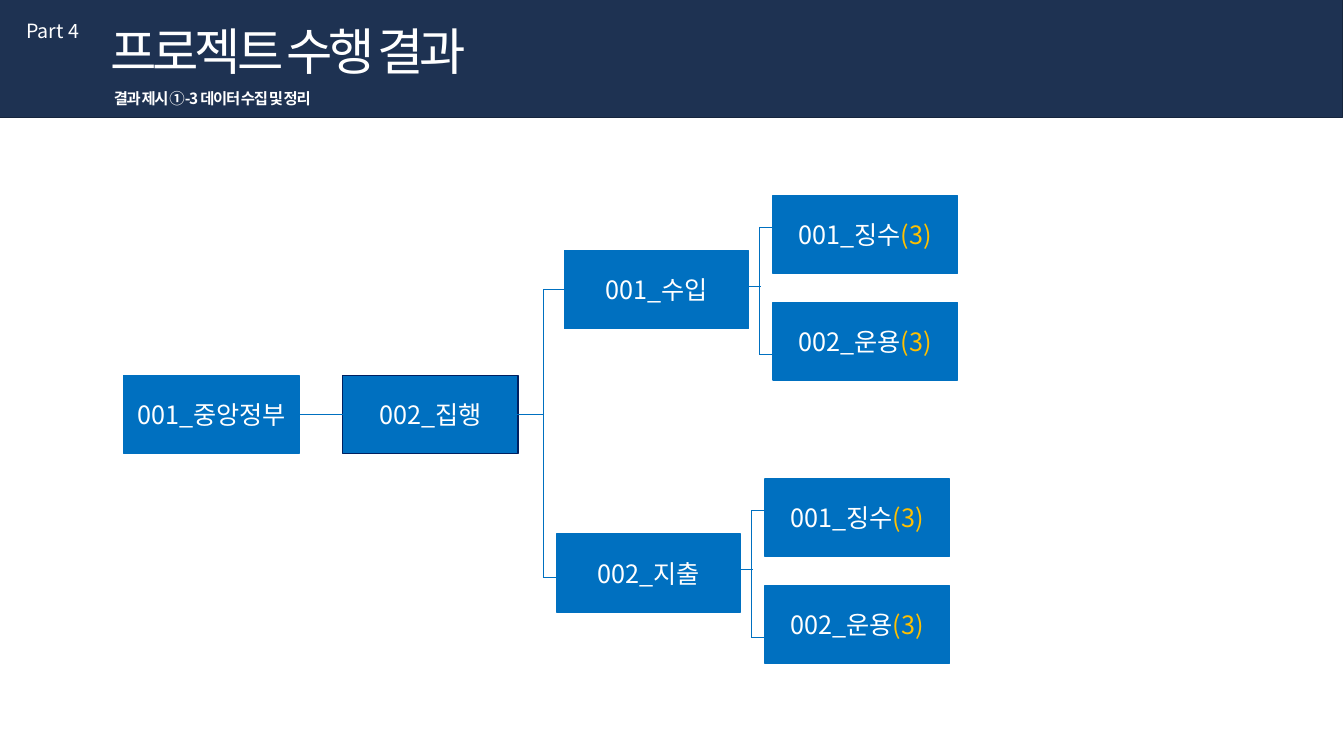
"""Builds the project result slide with a tree of data folders."""
from pptx import Presentation
from pptx import util as u
from pptx.dml.color import RGBColor
from pptx.enum import shapes, text
from pptx.oxml.ns import qn
from lxml import etree

HUES = {"navy": "1E3252", "edge": "16253D", "blue": "0070C0",
        "dark": "002060", "gold": "FFC000", "white": "FFFFFF"}
FONT = "Noto Sans CJK KR"
TALL = 1.96


def hue(name):
    return RGBColor.from_string(HUES[name])


def write(para, words, size=18, color="white", bold=False, space=0):
    run = para.add_run()
    run.text = words
    font = run.font
    font.name, font.size, font.bold = FONT, u.Pt(size), bold
    font.color.rgb = hue(color)
    props = run._r.get_or_add_rPr()
    etree.SubElement(props, qn("a:ea")).set("typeface", FONT)
    if space:
        props.set("spc", str(space * 100))


class Deck:
    def __init__(self):
        self.prs = Presentation()
        self.prs.slide_width, self.prs.slide_height = u.Cm(33.87), u.Cm(19.05)
        self.slide = self.prs.slides.add_slide(self.prs.slide_layouts[6])
        self.shapes = self.slide.shapes

    def rect(self, x, y, w, h, fill="blue", edge="blue"):
        box = self.shapes.add_shape(shapes.MSO_SHAPE.RECTANGLE,
                                    u.Cm(x), u.Cm(y), u.Cm(w), u.Cm(h))
        box.shadow.inherit = False
        box.fill.solid()
        box.fill.fore_color.rgb = hue(fill)
        box.line.color.rgb = hue(edge)
        box.line.width = u.Pt(1)
        return box

    def node(self, x, y, w, words, count="", edge="blue"):
        box = self.rect(x, y, w, TALL, edge=edge)
        frame = box.text_frame
        frame.word_wrap = True
        frame.vertical_anchor = text.MSO_ANCHOR.MIDDLE
        para = frame.paragraphs[0]
        para.alignment = text.PP_ALIGN.CENTER
        write(para, words)
        if count:
            write(para, count, color="gold")
        return box

    def label(self, x, y, w, h, words, **style):
        frame = self.shapes.add_textbox(u.Cm(x), u.Cm(y), u.Cm(w), u.Cm(h)).text_frame
        frame.word_wrap = False
        frame.auto_size = text.MSO_AUTO_SIZE.SHAPE_TO_FIT_TEXT
        write(frame.paragraphs[0], words, **style)

    def line(self, x1, y1, x2, y2, start=None, end=None):
        link = self.shapes.add_connector(shapes.MSO_CONNECTOR.STRAIGHT,
                                         u.Cm(x1), u.Cm(y1), u.Cm(x2), u.Cm(y2))
        link.line.color.rgb = hue("blue")
        link.line.width = u.Pt(0.5)
        etree.SubElement(link._element.spPr, qn("a:effectLst"))
        if start:
            link.begin_connect(start, 3)
        if end:
            link.end_connect(end, 1)

    def branch(self, x, y, words):
        wide = 4.65
        root = self.node(x, y, wide, words)
        self.node(x + 5.26, y - 1.39, wide, "001_징수", "(3)")
        self.node(x + 5.26, y + 1.3, wide, "002_운용", "(3)")
        spine, top, low = x + 4.91, y - 0.6, y + 2.6
        self.line(spine, top, spine, low)
        for level in (top, low):
            self.line(spine, level, spine + 0.53, level)
        self.line(x + 4.42, y + 0.89, x + 4.96, y + 0.89)
        return root


def main():
    deck = Deck()
    deck.rect(-0.03, -0.03, 33.86, 3, "navy", "edge")
    deck.label(2.54, 0.38, 10.59, 1.8, "프로젝트 수행 결과", size=36, space=-3)
    deck.label(0.41, 0.36, 1.85, 0.86, "Part 4", size=14)
    deck.label(2.62, 2.11, 6.07, 0.74, "결과 제시 ①-3 데이터 수집 및 정리",
               size=11, bold=True, space=-1)

    row, mid = 9.47, 9.47 + TALL / 2
    state = deck.node(3.12, row, 4.42, "001_중앙정부")
    spend = deck.node(8.64, row, 4.42, "002_집행", edge="dark")
    deck.line(7.54, mid, 8.64, mid, state, spend)

    stem, top, low = 13.69, 7.3, 14.55
    deck.line(12.8, mid, stem, mid)
    deck.line(stem, top, stem, low)
    deck.line(stem, low, 14.07, low)
    income = deck.branch(14.22, 6.32, "001_수입")
    deck.line(stem, top, 14.22, top, end=income)
    deck.branch(14.02, 13.46, "002_지출")
    deck.prs.save("out.pptx")


if __name__ == "__main__":
    main()
